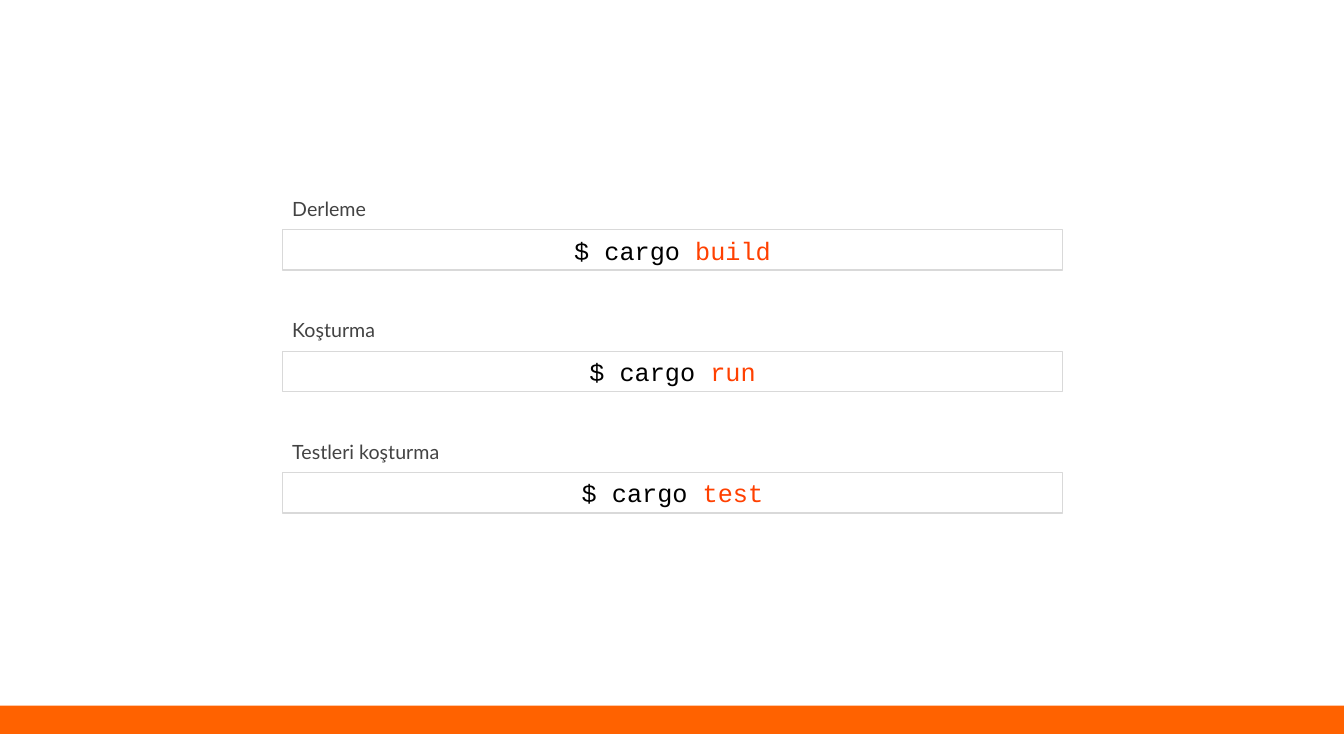
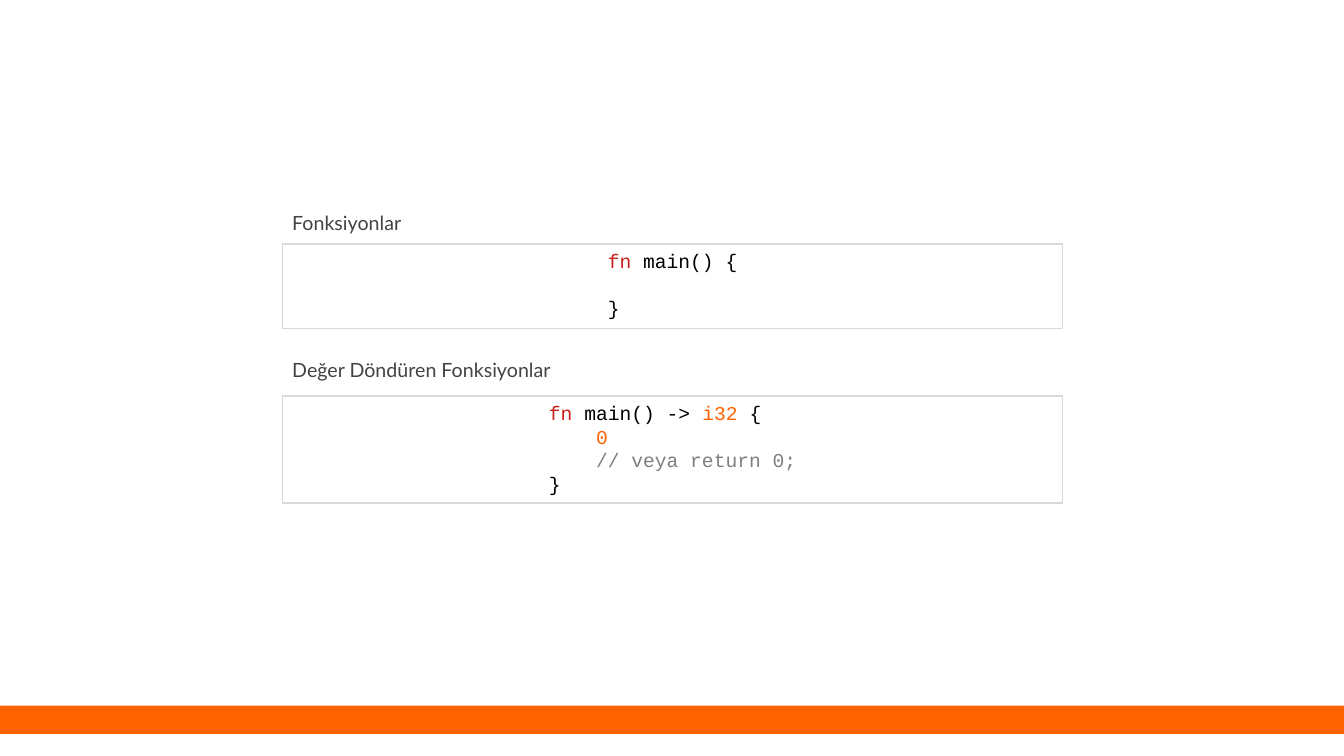
from lxml.etree import SubElement
from pptx import Presentation
from pptx.dml.color import RGBColor
from pptx.enum.shapes import MSO_SHAPE as Preset
from pptx.enum.text import MSO_ANCHOR as Anchor, PP_ALIGN as Align
from pptx.oxml.ns import qn
from pptx.util import Inches, Pt

COLORS = {
    "paper": "FFFFFF", "band": "FF6200", "border": "D9D9D9", "label": "434343",
    "code": "000000", "command": "FF4000", "keyword": "C9211E",
    "value": "FF6200", "comment": "7F7F7F",
}
LABEL_FONT, CODE_FONT = "Lato", "Courier New"
CODE_ADVANCE = 0.6  # character width as a share of the font size

# Grid, in inches: one centred column, labels above boxes
WIDTH, HEIGHT = 13.33, 7.5
LEFT, COLUMN = 2.8, 7.74
LABEL_HEIGHT = 0.43
BAND_TOP, BAND_HEIGHT = 7, 0.28
COMMAND_TOP, COMMAND_PITCH, COMMAND_HEIGHT = 2.28, 1.205, 0.4


def color(name):
    return RGBColor.from_string(COLORS[name])


def add_box(slide, left, top, width, height, fill, border=None):
    box = slide.shapes.add_shape(
        Preset.RECTANGLE, Inches(left), Inches(top), Inches(width), Inches(height))
    box.shadow.inherit = False
    box.fill.solid()
    box.fill.fore_color.rgb = color(fill)
    if border:
        box.line.color.rgb = color(border)
        box.line.width = Pt(1)
    else:
        box.line.fill.background()
    return box


# Content: label, label top, box top, box height, code size, code lines
commands = [("Derleme", "build"), ("Koşturma", "run"), ("Testleri koşturma", "test")]
command_blocks = []
for row, (label, command) in enumerate(commands):
    top = COMMAND_TOP + row * COMMAND_PITCH
    command_blocks.append((label, top - LABEL_HEIGHT, top, COMMAND_HEIGHT, 18,
                           [[("$ cargo ", "code"), (command, "command")]]))

function_blocks = [
    ("Fonksiyonlar", 1.99, 2.42, 0.84, 14, [
        [("fn", "keyword"), (" main() {", "code")],
        [],
        [("}", "code")],
    ]),
    ("Değer Döndüren Fonksiyonlar", 3.45, 3.93, 1.06, 14, [
        [("fn", "keyword"), (" main() -> ", "code"), ("i32", "value"), (" {", "code")],
        [("    ", "code"), ("0", "value")],
        [("    // veya return 0;", "comment")],
        [("}", "code")],
    ]),
]

deck = Presentation()
deck.slide_width, deck.slide_height = Inches(WIDTH), Inches(HEIGHT)

for blocks in (command_blocks, function_blocks):
    slide = deck.slides.add_slide(deck.slide_layouts[6])

    # Bottom band
    add_box(slide, 0, BAND_TOP, WIDTH, BAND_HEIGHT, "band")

    for label, label_top, box_top, box_height, size, lines in blocks:
        # Label
        caption = slide.shapes.add_textbox(
            Inches(LEFT), Inches(label_top), Inches(COLUMN), Inches(LABEL_HEIGHT)).text_frame
        caption.word_wrap = True
        caption.margin_top = caption.margin_bottom = Inches(0.1)
        caption.text = label
        font = caption.paragraphs[0].runs[0].font
        font.name, font.size = LABEL_FONT, Pt(14)
        font.color.rgb = color("label")

        # Code box: the left margin centres the longest line, the others align to it
        code = add_box(slide, LEFT, box_top, COLUMN, box_height, "paper", "border").text_frame
        longest = max(sum(len(text) for text, _ in line) for line in lines)
        code_width = longest * CODE_ADVANCE * size / 72
        code.margin_left = Inches((COLUMN - code_width) / 2)
        code.word_wrap = True
        code.vertical_anchor = Anchor.TOP if len(lines) > 1 else Anchor.MIDDLE
        for number, line in enumerate(lines):
            paragraph = code.add_paragraph() if number else code.paragraphs[0]
            paragraph.alignment = Align.LEFT
            for text, role in line:
                run = paragraph.add_run()
                run.text = text
                run.font.name, run.font.size = CODE_FONT, Pt(size)
                run.font.color.rgb = color(role)
            if not line:  # empty code line keeps the code's line height
                end = SubElement(paragraph._p, qn("a:endParaRPr"), sz=str(size * 100))
                SubElement(end, qn("a:latin"), typeface=CODE_FONT)

deck.save("out.pptx")
